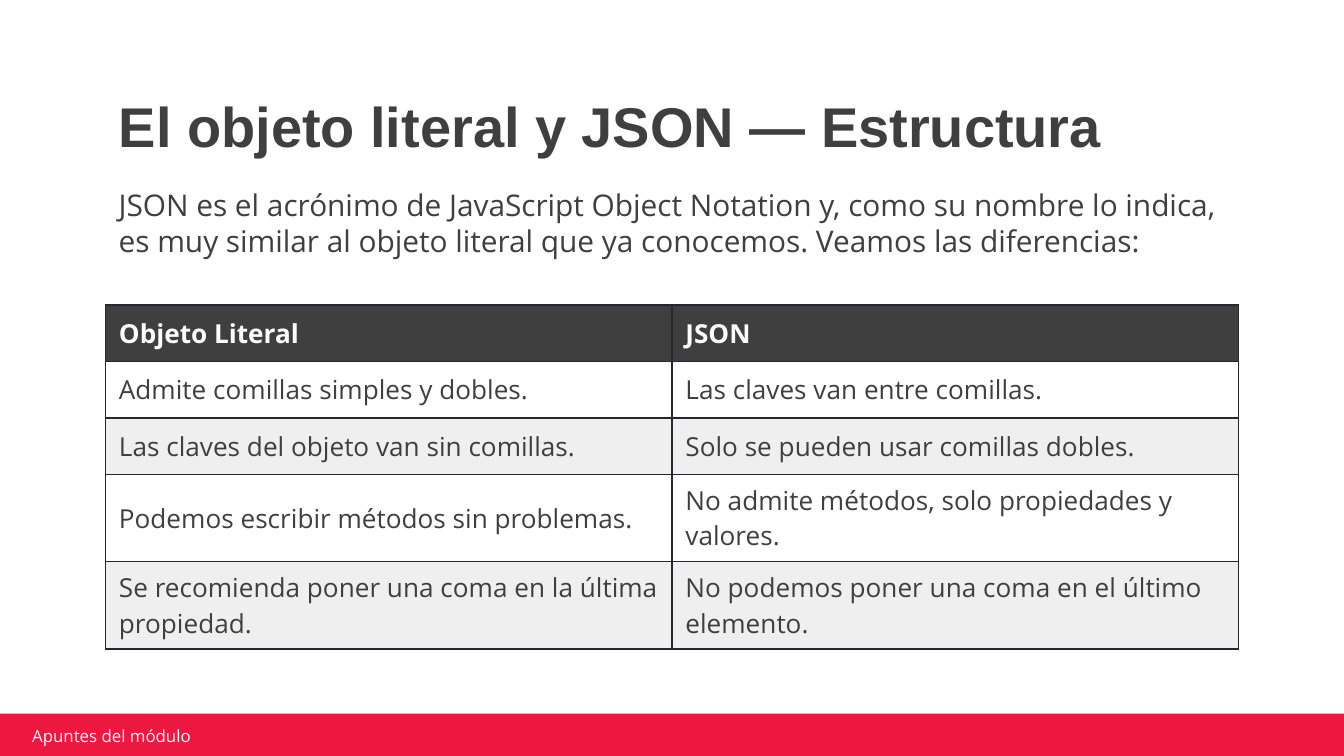
from pptx import Presentation
from pptx.dml.color import RGBColor
from pptx.enum.shapes import MSO_SHAPE
from pptx.enum.text import MSO_ANCHOR, MSO_AUTO_SIZE, PP_ALIGN
from pptx.oxml import parse_xml
from pptx.oxml.ns import nsdecls
from pptx.util import Inches, Pt

RECTANGLE = MSO_SHAPE.RECTANGLE
TOP, MIDDLE, BOTTOM = MSO_ANCHOR.TOP, MSO_ANCHOR.MIDDLE, MSO_ANCHOR.BOTTOM
LEFT = PP_ALIGN.LEFT
NO_AUTOFIT = MSO_AUTO_SIZE.NONE

DARK = RGBColor(0x3F, 0x3F, 0x3F)
WHITE = RGBColor(0xFF, 0xFF, 0xFF)
BAND = RGBColor(0xEF, 0xEF, 0xEF)
BORDER = RGBColor(0x26, 0x28, 0x31)
RED = RGBColor(0xEC, 0x18, 0x3F)

TITLE_FONT, BODY_FONT = "Arial", "Open Sans"

# 16:9 slide with one centred content column, in inches
SLIDE_WIDTH = 10
SLIDE_HEIGHT = SLIDE_WIDTH * 9 / 16
CONTENT_WIDTH = 8.43
MARGIN = (SLIDE_WIDTH - CONTENT_WIDTH) / 2
FOOTER_TOP = 5.31
TITLE_LAYOUT = 5

ROWS = [
    ("Objeto Literal", "JSON"),
    ("Admite comillas simples y dobles.", "Las claves van entre comillas."),
    ("Las claves del objeto van sin comillas.",
     "Solo se pueden usar comillas dobles."),
    ("Podemos escribir métodos sin problemas.",
     "No admite métodos, solo propiedades y valores."),
    ("Se recomienda poner una coma en la última propiedad.",
     "No podemos poner una coma en el último elemento."),
]
ROW_HEIGHTS = [0.42] * 3 + [0.62] * 2


def write_text(text_frame, text, *, size, color=DARK, font=BODY_FONT,
               bold=False, space_before=0, line_spacing=None):
    paragraph = text_frame.paragraphs[0]
    paragraph.alignment = LEFT
    paragraph.space_before = Pt(space_before)
    if line_spacing:
        paragraph.line_spacing = line_spacing
    run = paragraph.add_run()
    run.text = text
    run.font.name = font
    run.font.size = Pt(size)
    run.font.bold = bold
    run.font.color.rgb = color


def format_frame(text_frame, anchor, inset_x, inset_y):
    text_frame.word_wrap = True
    text_frame.auto_size = NO_AUTOFIT
    text_frame.vertical_anchor = anchor
    text_frame.margin_left = text_frame.margin_right = Inches(inset_x)
    text_frame.margin_top = text_frame.margin_bottom = Inches(inset_y)


def add_text_box(slide, box, text, anchor, inset_x, inset_y, **text_format):
    shape = slide.shapes.add_textbox(*map(Inches, box))
    format_frame(shape.text_frame, anchor, inset_x, inset_y)
    write_text(shape.text_frame, text, **text_format)


def place_title(slide, box):
    title = slide.shapes.title
    title.left, title.top, title.width, title.height = map(Inches, box)
    format_frame(title.text_frame, BOTTOM, 0.1, 0.1)
    write_text(title.text_frame, "El objeto literal y JSON — Estructura",
               size=30, font=TITLE_FONT, bold=True, line_spacing=0.9)


def add_borders(cell):
    properties = cell._tc.get_or_add_tcPr()
    for position, side in enumerate(("lnL", "lnR", "lnT", "lnB")):
        properties.insert(position, parse_xml(
            f'<a:{side} {nsdecls("a")} w="{Pt(0.75)}"><a:solidFill>'
            f'<a:srgbClr val="{BORDER}"/></a:solidFill></a:{side}>'))


def add_comparison_table(slide, box):
    table = slide.shapes.add_table(
        len(ROWS), len(ROWS[0]), *map(Inches, box)).table
    for column in table.columns:
        column.width = Inches(box[2] / len(ROWS[0]))
    for index, (texts, height) in enumerate(zip(ROWS, ROW_HEIGHTS)):
        header = index == 0
        fill = DARK if header else WHITE if index % 2 else BAND
        table.rows[index].height = Inches(height)
        for cell, text in zip(table.rows[index].cells, texts):
            cell.fill.solid()
            cell.fill.fore_color.rgb = fill
            cell.vertical_anchor = MIDDLE
            cell.margin_left = cell.margin_right = Inches(0.1)
            cell.margin_top = cell.margin_bottom = Inches(0.06)
            write_text(cell.text_frame, text, size=14, bold=header,
                       color=WHITE if header else DARK, space_before=6)
            add_borders(cell)


def add_footer(slide, box):
    left, top, width, height = box
    bar = slide.shapes.add_shape(RECTANGLE, *map(Inches, box))
    bar.shadow.inherit = False
    bar.fill.solid()
    bar.fill.fore_color.rgb = RED
    bar.line.fill.background()
    label_box = (left + 0.19, top + 0.09, width * 0.24, height / 2)
    add_text_box(slide, label_box, "Apuntes del módulo", MIDDLE, 0.05, 0.02,
                 size=9, color=WHITE)


def main():
    presentation = Presentation()
    presentation.slide_width = Inches(SLIDE_WIDTH)
    presentation.slide_height = Inches(SLIDE_HEIGHT)
    slide = presentation.slides.add_slide(
        presentation.slide_layouts[TITLE_LAYOUT])

    # Title and introduction
    place_title(slide, (MARGIN, 0.6, CONTENT_WIDTH, 0.69))
    add_text_box(
        slide, (MARGIN, 1.29, CONTENT_WIDTH, 0.53),
        "JSON es el acrónimo de JavaScript Object Notation y, como su nombre "
        "lo indica, es muy similar al objeto literal que ya conocemos. "
        "Veamos las diferencias:",
        TOP, 0.1, 0.1, size=16, space_before=6)

    # Comparison and footer bar
    add_comparison_table(
        slide, (MARGIN, 2.27, CONTENT_WIDTH, sum(ROW_HEIGHTS)))
    add_footer(slide, (0, FOOTER_TOP, SLIDE_WIDTH, SLIDE_HEIGHT - FOOTER_TOP))

    presentation.save("out.pptx")


if __name__ == "__main__":
    main()
